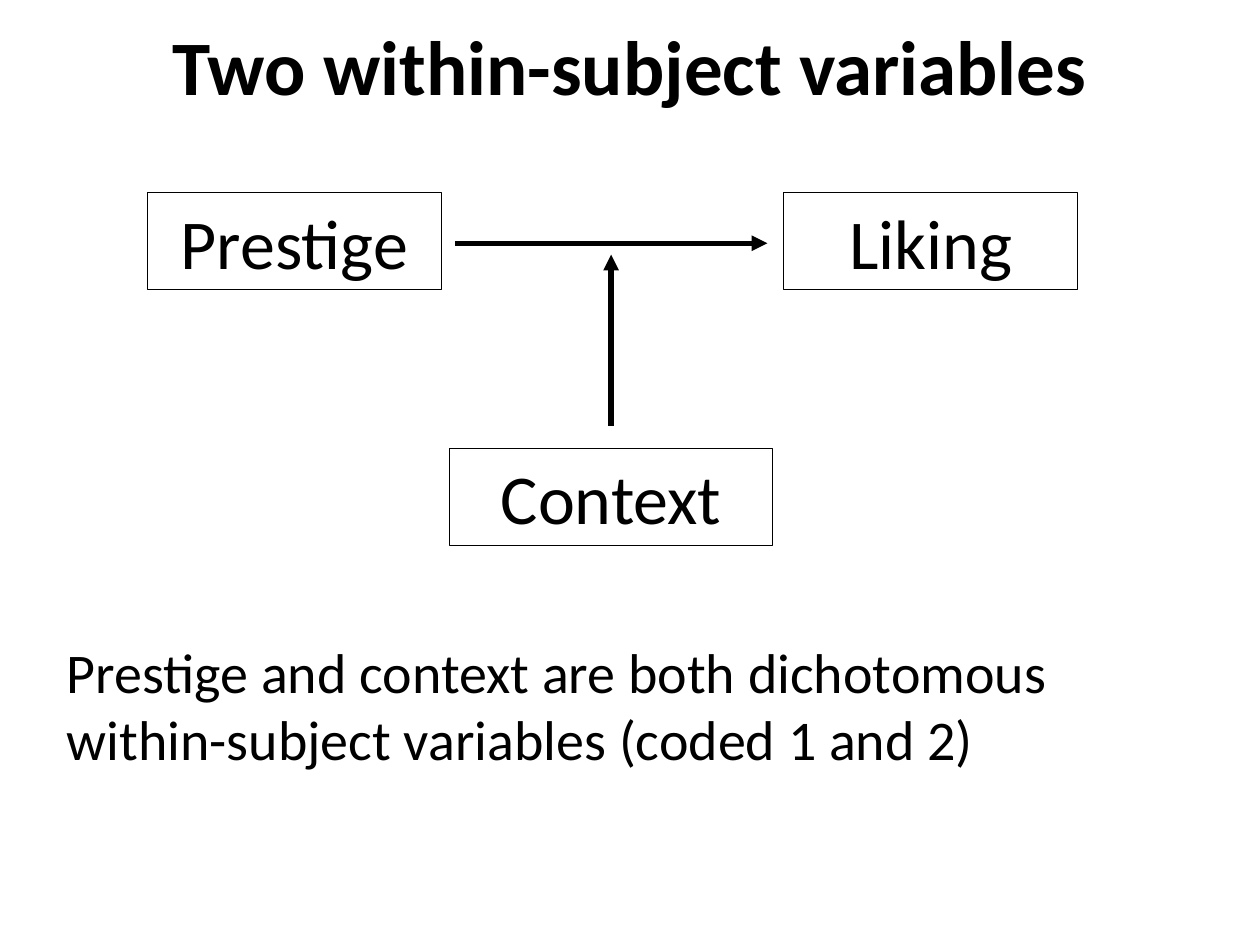
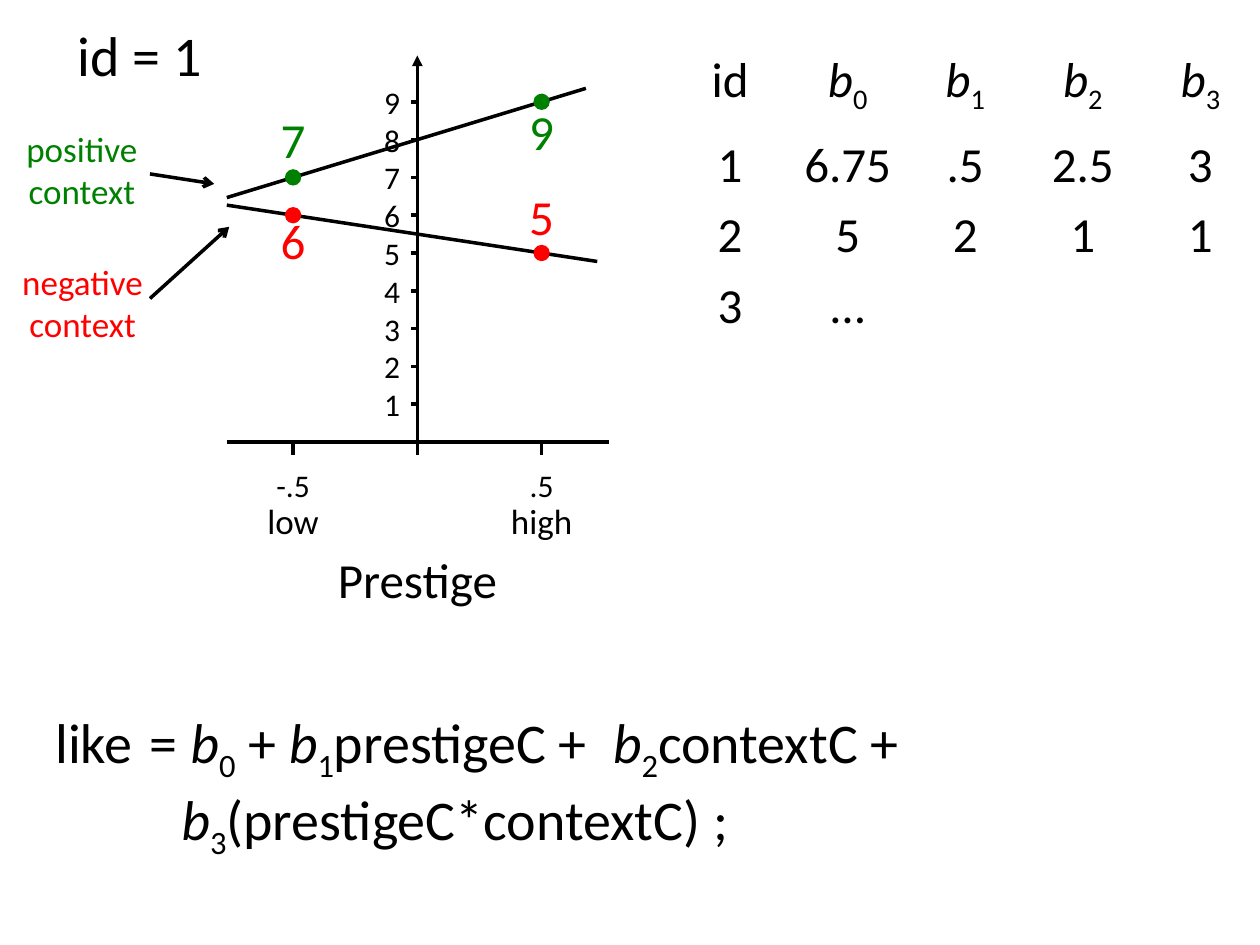
from lxml import etree
from pptx import Presentation
from pptx.dml.color import RGBColor
from pptx.enum.shapes import MSO_CONNECTOR, MSO_SHAPE
from pptx.enum.text import MSO_ANCHOR, PP_ALIGN
from pptx.oxml.ns import qn
from pptx.util import Pt

STRAIGHT = MSO_CONNECTOR.STRAIGHT
RECTANGLE, OVAL = MSO_SHAPE.RECTANGLE, MSO_SHAPE.OVAL
LEFT, CENTER = PP_ALIGN.LEFT, PP_ALIGN.CENTER
TOP, MIDDLE = MSO_ANCHOR.TOP, MSO_ANCHOR.MIDDLE

FONT = "Calibri"
COLOURS = {"black": "000000", "positive": "008000", "negative": "FF0000"}


def coefficient(index):
    return [("b", "italic"), (str(index), "subscript")]


TITLE = "Two within-subject variables"
NOTE = "Prestige and context are both dichotomous within-subject variables (coded 1 and 2)"
VARIABLE_BOXES = [
    ("Prestige", 84.2, 110.2, 168),
    ("Liking", 447.8, 110.2, 168),
    ("Context", 257, 256.3, 184.5),
]
MODEL_ARROWS = [((260, 139), (438.5, 139)), ((349.2, 243.4), (349.2, 145.5))]

COEFFICIENT_ROWS = [
    ["id"] + [coefficient(index) for index in range(4)],
    ["1", "6.75", ".5", "2.5", "3"],
    ["2", "5", "2", "1", "1"],
    ["3", "…", "", "", ""],
]
ROW_HEIGHTS = [48.5, 40.3, 40.3, 41.4]

EQUATION = [
    [("like\t= ", ""), *coefficient(0), (" + ", ""), *coefficient(1),
     ("prestigeC +\t", ""), *coefficient(2), ("contextC +", "")],
    [*coefficient(3), ("(prestigeC*contextC) ;", "")],
]

PRESTIGE_LEVELS = [(-0.5, "-.5", "low"), (0.5, ".5", "high")]
CONTEXT_LINES = [
    {"name": "negative", "ratings": (6, 5), "label_shifts": (-6.5, -41.7), "end": 341.3,
     "label": (47.2, 145.4, 84), "arrow": ((85.7, 170.6), (131, 129.6))},
    {"name": "positive", "ratings": (7, 9), "label_shifts": (-42.5, -3.6), "end": 334.8,
     "label": (46.8, 69.1, 78), "arrow": ((85.7, 99.4), (122.4, 105.1))},
]
AXIS_LEFT, AXIS_RIGHT, AXIS_TOP = 129.6, 347.8, 31.7
ORIGIN_X, ORIGIN_Y = 238.5, 252.6
PRESTIGE_UNIT, RATING_UNIT = 142, 21.6
DOT = 8.6


def x_of(prestige):
    return ORIGIN_X + prestige * PRESTIGE_UNIT


def y_of(rating):
    return ORIGIN_Y - rating * RATING_UNIT


def colour(name):
    return RGBColor.from_string(COLOURS[name])


def write_text(frame, paragraphs, size=28, color="black", bold=False, align=CENTER):
    if isinstance(paragraphs, str):
        paragraphs = [paragraphs]
    for index, runs in enumerate(paragraphs):
        paragraph = frame.paragraphs[0] if index == 0 else frame.add_paragraph()
        paragraph.alignment = align
        for content, style in [(runs, "")] if isinstance(runs, str) else runs:
            run = paragraph.add_run()
            run.text = content
            run.font.name = FONT
            run.font.size = Pt(size)
            run.font.bold = bold
            run.font.italic = style == "italic"
            run.font.color.rgb = colour(color)
            if style == "subscript":
                run.font._element.set("baseline", "-25000")


def add_text(slide, paragraphs, left, top, width, height, wrap=True, anchor=TOP, **text_format):
    box = slide.shapes.add_textbox(Pt(left), Pt(top), Pt(width), Pt(height))
    box.text_frame.word_wrap = wrap
    box.text_frame.vertical_anchor = anchor
    write_text(box.text_frame, paragraphs, **text_format)
    return box


def add_label(slide, paragraphs, center, top, width=28, size=28, **text_format):
    height = size * 1.22 * (len(paragraphs) if isinstance(paragraphs, list) else 1) + 7.2
    box = add_text(slide, paragraphs, center - width / 2, top, width, height,
                   wrap=False, size=size, **text_format)
    box.text_frame.margin_left = box.text_frame.margin_right = Pt(0)


def add_line(slide, start, end, width=2, head=None):
    line = slide.shapes.add_connector(STRAIGHT, *map(Pt, start + end))
    line.line.width = Pt(width)
    line.line.color.rgb = colour("black")
    if head:
        etree.SubElement(line.line._get_or_add_ln(), qn("a:tailEnd"), type=head)
    etree.SubElement(line._element.spPr, qn("a:effectLst"))


def add_shape(slide, kind, left, top, width, height, line="black", fill=None):
    shape = slide.shapes.add_shape(kind, Pt(left), Pt(top), Pt(width), Pt(height))
    shape.shadow.inherit = False
    shape.line.color.rgb = colour(line)
    shape.line.width = Pt(0.75)
    if fill:
        shape.fill.solid()
        shape.fill.fore_color.rgb = colour(fill)
    else:
        shape.fill.background()
    return shape


def add_axes(slide):
    add_line(slide, (AXIS_LEFT, ORIGIN_Y), (AXIS_RIGHT, ORIGIN_Y))
    add_line(slide, (ORIGIN_X, ORIGIN_Y), (ORIGIN_X, AXIS_TOP), head="triangle")
    for prestige in (-0.5, 0, 0.5):
        x = x_of(prestige)
        add_line(slide, (x, ORIGIN_Y), (x, ORIGIN_Y + 7.2))
    for rating in range(10):
        y = y_of(rating)
        add_line(slide, (ORIGIN_X - 3.6, y), (ORIGIN_X, y))
        if rating:
            add_label(slide, str(rating), 224, y - 14.4, width=23, size=18)
    for prestige, code, level in PRESTIGE_LEVELS:
        add_label(slide, code, x_of(prestige), 262.8, width=33, size=18)
        add_label(slide, level, x_of(prestige), 281.9, width=48, size=20)
    add_label(slide, "Prestige", ORIGIN_X, 310.3, width=106)


def add_context_line(slide, context):
    name = context["name"]
    low, high = context["ratings"]

    def point(x):
        return x, y_of((low + high) / 2 + (high - low) * (x - ORIGIN_X) / PRESTIGE_UNIT)

    add_line(slide, point(AXIS_LEFT), point(context["end"]))
    for (prestige, _, _), rating, shift in zip(
            PRESTIGE_LEVELS, context["ratings"], context["label_shifts"]):
        x, y = x_of(prestige), y_of(rating)
        add_shape(slide, OVAL, x - DOT / 2, y - DOT / 2, DOT, DOT, line=name, fill=name)
        add_label(slide, str(rating), x, y + shift, color=name)
    center, top, width = context["label"]
    add_label(slide, [name, "context"], center, top, width=width, size=20, color=name)
    add_line(slide, *context["arrow"], head="arrow")


def add_coefficient_table(slide):
    columns = len(COEFFICIENT_ROWS[0])
    column_width = 67.2
    frame = slide.shapes.add_table(len(COEFFICIENT_ROWS), columns, Pt(383.6), Pt(25.4),
                                   Pt(column_width * columns), Pt(sum(ROW_HEIGHTS)))
    table = frame.table
    table.first_row = table.horz_banding = False
    for column in table.columns:
        column.width = Pt(column_width)
    for row, height, contents in zip(table.rows, ROW_HEIGHTS, COEFFICIENT_ROWS):
        row.height = Pt(height)
        for cell, content in zip(row.cells, contents):
            cell.margin_top, cell.margin_bottom = Pt(3.6), Pt(1)
            cell.margin_left = cell.margin_right = Pt(0)
            write_text(cell.text_frame, [content])
            cell.fill.background()
            properties = cell._tc.get_or_add_tcPr()
            for index, side in enumerate(("lnL", "lnR", "lnT", "lnB")):
                border = etree.Element(qn(f"a:{side}"), w="0")
                etree.SubElement(border, qn("a:noFill"))
                properties.insert(index, border)


def add_equation(slide):
    box = add_text(slide, EQUATION, 24.5, 401, 647.3, 95, size=32, align=LEFT)
    first, second = box.text_frame.paragraphs
    tabs = etree.SubElement(first._p.get_or_add_pPr(), qn("a:tabLst"))
    for position in (54, 318.6):
        etree.SubElement(tabs, qn("a:tab"), pos=str(Pt(position)), algn="l")
    second._p.get_or_add_pPr().set("marL", str(Pt(72)))


def build_model_slide(slide):
    add_text(slide, TITLE, 0, -1.4, 720, 76.3, anchor=MIDDLE, size=44, bold=True)
    add_text(slide, NOTE, 31, 360.7, 671.8, 84.2, size=32, align=LEFT)
    for name, left, top, width in VARIABLE_BOXES:
        box = add_shape(slide, RECTANGLE, left, top, width, 55.4)
        box.text_frame.vertical_anchor = TOP
        write_text(box.text_frame, name, size=40)
    for start, end in MODEL_ARROWS:
        add_line(slide, start, end, width=3, head="triangle")


def build_subject_slide(slide):
    add_label(slide, "id = 1", 79.9, 7.9, width=85, size=32)
    add_axes(slide)
    for context in CONTEXT_LINES:
        add_context_line(slide, context)
    add_coefficient_table(slide)
    add_equation(slide)


def main():
    presentation = Presentation()
    presentation.slide_width, presentation.slide_height = Pt(720), Pt(540)
    for build in (build_model_slide, build_subject_slide):
        build(presentation.slides.add_slide(presentation.slide_layouts[6]))
    presentation.save("out.pptx")


if __name__ == "__main__":
    main()
